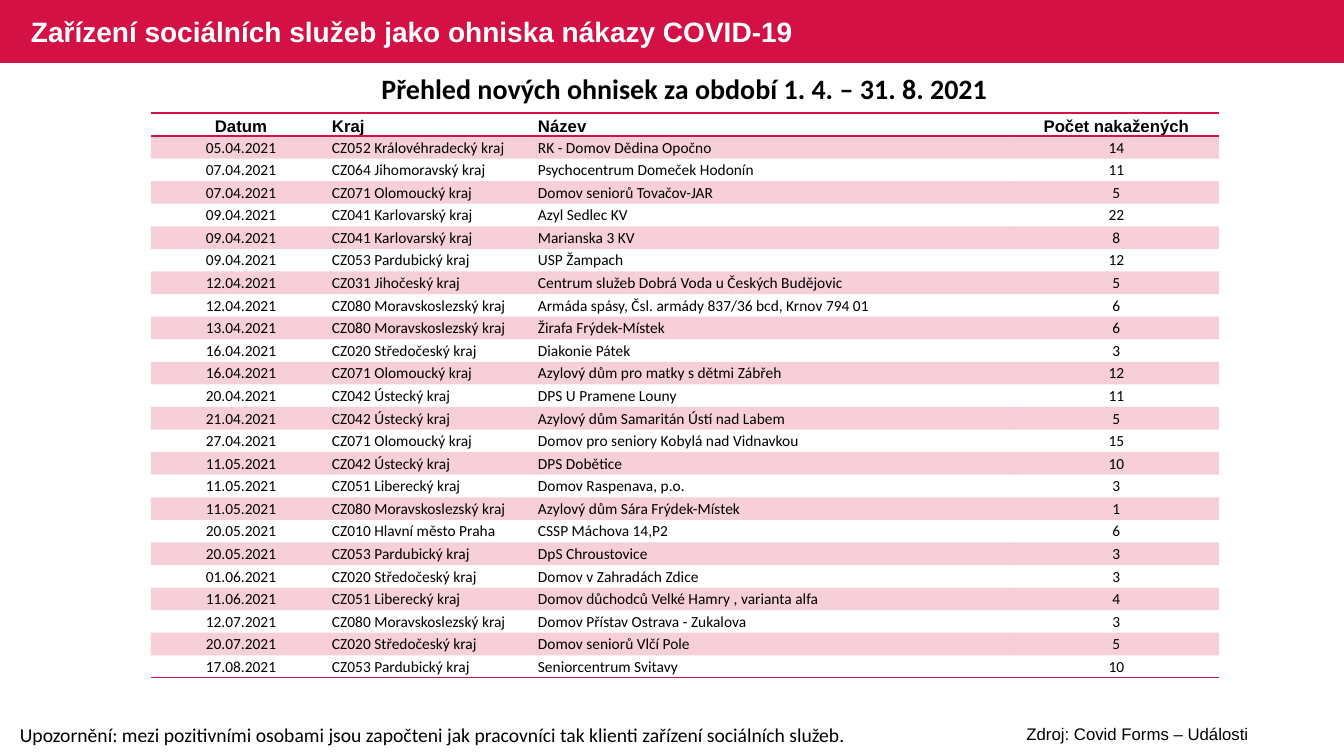
import pptx
import pptx.util
import pptx.dml.color
import pptx.enum.shapes
import pptx.enum.text
import pptx.oxml
import pptx.oxml.ns
from dataclasses import dataclass

TITLE = "Zařízení sociálních služeb jako ohniska nákazy COVID-19"
HEADING = "Přehled nových ohnisek za období 1. 4. – 31. 8. 2021"
WARNING = "Upozornění: mezi pozitivními osobami jsou započteni jak pracovníci tak klienti zařízení sociálních služeb."
SOURCE = "Zdroj: Covid Forms – Události"
HEADER = ("Datum", "Kraj", "Název", "Počet nakažených")
OUTBREAKS = [
    ("05.04.2021", "CZ052 Královéhradecký kraj", "RK - Domov Dědina Opočno", 14),
    ("07.04.2021", "CZ064 Jihomoravský kraj", "Psychocentrum Domeček Hodonín", 11),
    ("07.04.2021", "CZ071 Olomoucký kraj", "Domov seniorů Tovačov-JAR", 5),
    ("09.04.2021", "CZ041 Karlovarský kraj", "Azyl Sedlec KV", 22),
    ("09.04.2021", "CZ041 Karlovarský kraj", "Marianska 3 KV", 8),
    ("09.04.2021", "CZ053 Pardubický kraj", "USP Žampach", 12),
    ("12.04.2021", "CZ031 Jihočeský kraj", "Centrum služeb Dobrá Voda u Českých Budějovic", 5),
    ("12.04.2021", "CZ080 Moravskoslezský kraj", "Armáda spásy, Čsl. armády 837/36 bcd, Krnov 794 01", 6),
    ("13.04.2021", "CZ080 Moravskoslezský kraj", "Žirafa Frýdek-Místek", 6),
    ("16.04.2021", "CZ020 Středočeský kraj", "Diakonie Pátek", 3),
    ("16.04.2021", "CZ071 Olomoucký kraj", "Azylový dům pro matky s dětmi Zábřeh", 12),
    ("20.04.2021", "CZ042 Ústecký kraj", "DPS U Pramene Louny", 11),
    ("21.04.2021", "CZ042 Ústecký kraj", "Azylový dům Samaritán Ústí nad Labem", 5),
    ("27.04.2021", "CZ071 Olomoucký kraj", "Domov pro seniory Kobylá nad Vidnavkou", 15),
    ("11.05.2021", "CZ042 Ústecký kraj", "DPS Dobětice", 10),
    ("11.05.2021", "CZ051 Liberecký kraj", "Domov Raspenava, p.o.", 3),
    ("11.05.2021", "CZ080 Moravskoslezský kraj", "Azylový dům Sára Frýdek-Místek", 1),
    ("20.05.2021", "CZ010 Hlavní město Praha", "CSSP Máchova 14,P2", 6),
    ("20.05.2021", "CZ053 Pardubický kraj", "DpS Chroustovice", 3),
    ("01.06.2021", "CZ020 Středočeský kraj", "Domov v Zahradách Zdice", 3),
    ("11.06.2021", "CZ051 Liberecký kraj", "Domov důchodců Velké Hamry , varianta alfa", 4),
    ("12.07.2021", "CZ080 Moravskoslezský kraj", "Domov Přístav Ostrava - Zukalova", 3),
    ("20.07.2021", "CZ020 Středočeský kraj", "Domov seniorů Vlčí Pole", 5),
    ("17.08.2021", "CZ053 Pardubický kraj", "Seniorcentrum Svitavy", 10),
]

SLIDE = (1344, 756)
BAR_HEIGHT = 63
TABLE_ORIGIN = (151, 113)
COLUMN_WIDTHS = (180, 206, 477, 205)
HEADER_HEIGHT = 23
BODY_HEIGHT = 542

LEFT = pptx.enum.text.PP_ALIGN.LEFT
CENTER = pptx.enum.text.PP_ALIGN.CENTER
TOP = pptx.enum.text.MSO_ANCHOR.TOP
MIDDLE = pptx.enum.text.MSO_ANCHOR.MIDDLE
BOTTOM = pptx.enum.text.MSO_ANCHOR.BOTTOM
COLUMN_ALIGNS = (CENTER, LEFT, LEFT, CENTER)


@dataclass(frozen=True)
class Theme:
    crimson: str = "D31145"
    text: str = "000000"
    inverse: str = "FFFFFF"
    band_alpha: int = 20
    rule_width: int = 1
    sans: str = "Arial"
    humanist: str = "Calibri"
    title_size: int = 20
    note_size: int = 14
    label_size: int = 12
    cell_size: int = 11
    plain_table: str = "{2D5ABB26-0587-4C30-8999-92F81FD0307C}"


THEME = Theme()


def px(length):
    return pptx.util.Emu(round(length * 914400 / 100.8))


def rgb(value):
    return pptx.dml.color.RGBColor.from_string(value)


def write(frame, text, face, size, color=THEME.text, bold=False, align=LEFT):
    frame.text = text
    para = frame.paragraphs[0]
    para.alignment = align
    font = para.runs[0].font
    font.name, font.size, font.bold = face, pptx.util.Pt(size), bold
    font.color.rgb = rgb(color)
    return para


def add_text(page, bounds, text, face, size, anchor=TOP, grow=True, **style):
    frame = page.shapes.add_textbox(*map(px, bounds)).text_frame
    frame.word_wrap = True
    frame.vertical_anchor = anchor
    if grow:
        frame.auto_size = pptx.enum.text.MSO_AUTO_SIZE.SHAPE_TO_FIT_TEXT
    return write(frame, text, face, size, **style)


def add_bar(page):
    bar = page.shapes.add_shape(pptx.enum.shapes.MSO_SHAPE.RECTANGLE, 0, 0, px(SLIDE[0]), px(BAR_HEIGHT))
    bar.shadow.inherit = False
    bar.fill.solid()
    bar.fill.fore_color.rgb = rgb(THEME.crimson)
    bar.line.fill.background()


def fill_band(cell):
    cell.fill.solid()
    cell.fill.fore_color.rgb = rgb(THEME.crimson)
    color = cell._tc.tcPr.find(".//" + pptx.oxml.ns.qn("a:srgbClr"))
    color.append(pptx.oxml.parse_xml(
        f'<a:alpha {pptx.oxml.ns.nsdecls("a")} val="{THEME.band_alpha * 1000}"/>'))


def add_rules(cell, sides):
    for index, side in enumerate(sides):
        cell._tc.get_or_add_tcPr().insert(index, pptx.oxml.parse_xml(
            f'<a:ln{side} {pptx.oxml.ns.nsdecls("a")} w="{pptx.util.Pt(THEME.rule_width)}">'
            f'<a:solidFill><a:srgbClr val="{THEME.crimson}"/></a:solidFill></a:ln{side}>'))


def add_outbreak_table(page):
    rows = [HEADER, *OUTBREAKS]
    size = (sum(COLUMN_WIDTHS), HEADER_HEIGHT + BODY_HEIGHT)
    table = page.shapes.add_table(len(rows), len(HEADER), *map(px, TABLE_ORIGIN + size)).table
    table.horz_banding = False
    table._tbl.tblPr.find(pptx.oxml.ns.qn("a:tableStyleId")).text = THEME.plain_table
    for column, width in zip(table.columns, COLUMN_WIDTHS):
        column.width = px(width)
    for number, values in enumerate(rows):
        is_header = number == 0
        table.rows[number].height = px(HEADER_HEIGHT if is_header else BODY_HEIGHT / len(OUTBREAKS))
        face, type_size = (THEME.sans, THEME.label_size) if is_header else (THEME.humanist, THEME.cell_size)
        for cell, value, align in zip(table.rows[number].cells, values, COLUMN_ALIGNS):
            cell.margin_left = cell.margin_right = px(1)
            cell.margin_top = px(0 if is_header else 1)
            cell.margin_bottom = 0
            cell.vertical_anchor = BOTTOM if is_header else MIDDLE
            write(cell.text_frame, str(value), face, type_size, bold=is_header, align=align)
            if number % 2:
                fill_band(cell)
            else:
                cell.fill.background()
            if is_header:
                add_rules(cell, "TB")
            elif number == len(OUTBREAKS):
                add_rules(cell, "B")


def main():
    deck = pptx.Presentation()
    deck.slide_width, deck.slide_height = map(px, SLIDE)
    page = deck.slides.add_slide(deck.slide_layouts[6])
    add_bar(page)
    add_text(page, (10, 718, 859, 34), WARNING, THEME.humanist, THEME.note_size)
    add_text(page, (53, 67, 1263, 44), HEADING, THEME.humanist, THEME.title_size, bold=True, align=CENTER)
    title = add_text(page, (21, 2, 820, BAR_HEIGHT), TITLE, THEME.sans, THEME.title_size,
                     anchor=MIDDLE, grow=False, color=THEME.inverse, bold=True)
    title.line_spacing = 0.9
    add_text(page, (942, 719, 391, 30), SOURCE, THEME.sans, THEME.label_size, align=CENTER)
    add_outbreak_table(page)
    deck.save("out.pptx")


if __name__ == "__main__":
    main()
